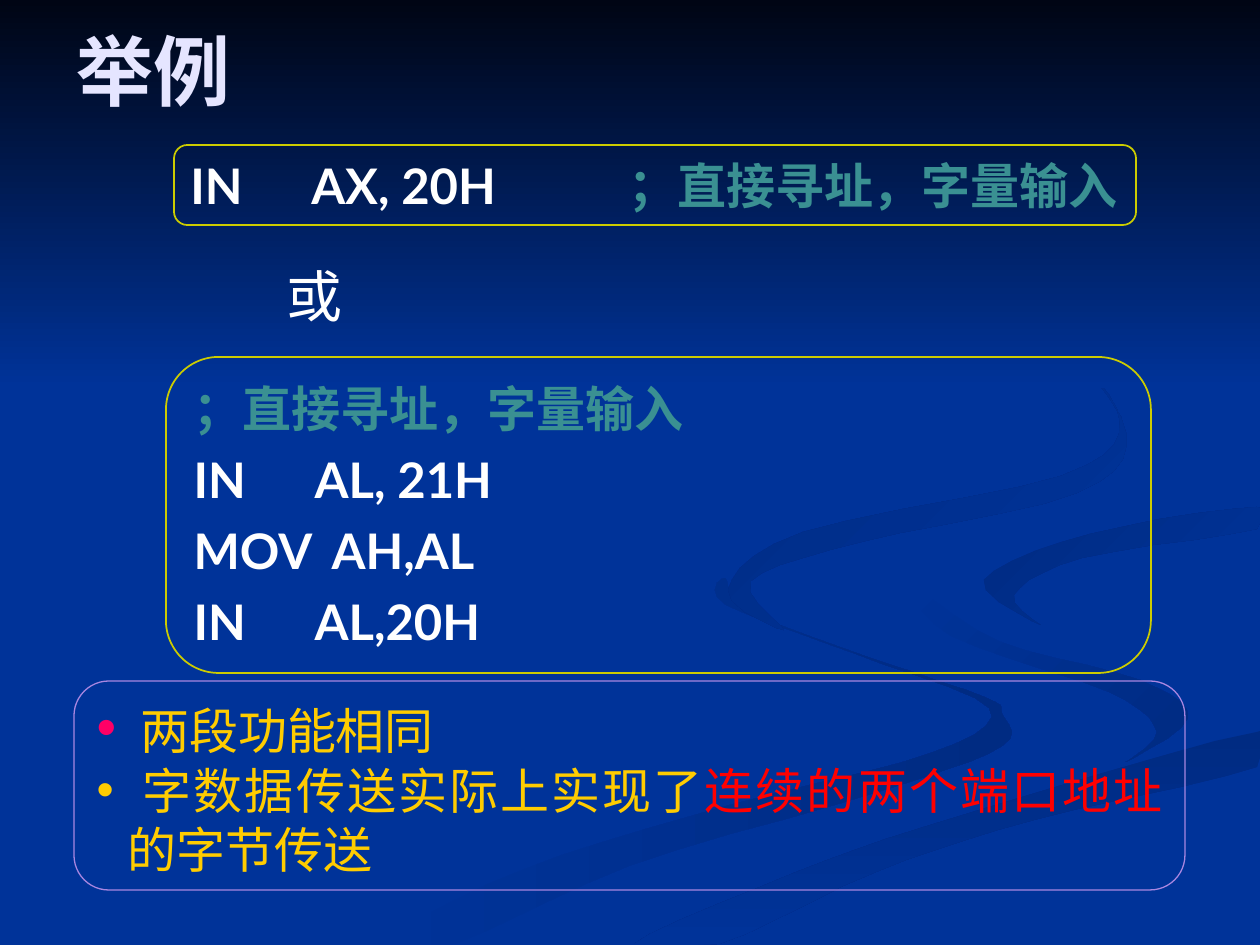
from dataclasses import dataclass

from lxml import etree
from pptx import Presentation
from pptx import util as u
from pptx.dml.color import RGBColor
from pptx.enum import shapes, text
from pptx.oxml.ns import qn

PX = 914400 / 126
WIDTH, HEIGHT = 1260, 945


@dataclass(frozen=True)
class Theme:
    background: str = "003399"
    night: str = "000514"
    shadow: str = "002B82"
    title: str = "E5E5FF"
    code: str = "FFFFFF"
    comment: str = "3A9092"
    code_frame: str = "CCCC00"
    note: str = "FFCC00"
    key: str = "FF0000"
    note_frame: str = "A886E0"
    first_bullet: str = "FF0066"
    title_size: int = 44
    large_size: int = 32
    body_size: int = 28
    body_font: str = "Lato"
    title_font: str = "Arial"
    word_font: str = "Times New Roman"


T = Theme()
Point = tuple[int, int]


@dataclass(frozen=True)
class Box:
    left: int
    top: int
    width: int
    height: int


@dataclass(frozen=True)
class Run:
    words: str
    color: str


@dataclass(frozen=True)
class Line:
    runs: tuple[Run, ...]
    tabs: tuple[int, ...] = ()
    bullet: str = ""
    lead_size: int = 0


@dataclass(frozen=True)
class Swoosh:
    start: str
    end: str
    angle: int  # clockwise from left to right
    knots: tuple[Point, ...]


def emu(px: float) -> int:
    return round(px * PX)


def place(box: Box) -> list[int]:
    return [emu(v) for v in (box.left, box.top, box.width, box.height)]


def rgb(color: str) -> RGBColor:
    return RGBColor.from_string(color)


def shade(shape, start: str, end: str, angle: int) -> None:
    shape.shadow.inherit = False
    shape.line.fill.background()
    shape.fill.gradient()
    shape.fill.gradient_angle = (360 - angle) % 360
    for stop, color in zip(shape.fill.gradient_stops, (start, end)):
        stop.color.rgb = rgb(color)


def smooth(knots: tuple[Point, ...], steps: int = 5) -> list[Point]:
    """Closed Catmull-Rom curve through the knots, kept on the slide."""
    count, curve = len(knots), []
    for i in range(count):
        corners = [knots[(i + k) % count] for k in (-1, 0, 1, 2)]
        for t in (step / steps for step in range(steps)):
            x, y = (b + t * (c - a + t * (2 * a - 5 * b + 4 * c - d
                                          + t * (3 * b - a - 3 * c + d))) / 2
                    for a, b, c, d in zip(*corners))
            curve.append((min(round(x), WIDTH), min(round(y), HEIGHT)))
    return curve


def draw_swoosh(slide, swoosh: Swoosh) -> None:
    first, *rest = smooth(swoosh.knots)
    builder = slide.shapes.build_freeform(*first, scale=PX)
    builder.add_line_segments(rest, close=True)
    shade(builder.convert_to_shape(), swoosh.start, swoosh.end, swoosh.angle)


def draw_frame(slide, kind, box: Box, color: str, weight: float):
    frame = slide.shapes.add_shape(kind, *place(box))
    frame.shadow.inherit = False
    frame.fill.background()
    frame.line.color.rgb = rgb(color)
    frame.line.width = u.Pt(weight)
    frame.text_frame.word_wrap = True
    return frame.text_frame


def set_tabs(paragraph, stops: tuple[int, ...]) -> None:
    tab_list = etree.SubElement(paragraph._p.get_or_add_pPr(), qn("a:tabLst"))
    for stop in stops:
        etree.SubElement(tab_list, qn("a:tab"), pos=str(emu(stop)), algn="l")


def set_bullet(paragraph, color: str, indent: int = 31) -> None:
    props = paragraph._p.get_or_add_pPr()
    props.set("marL", str(emu(indent)))
    props.set("indent", str(-emu(indent)))
    etree.SubElement(etree.SubElement(props, qn("a:buClr")), qn("a:srgbClr"), val=color)
    etree.SubElement(props, qn("a:buFont"), typeface="Arial")
    etree.SubElement(props, qn("a:buChar"), char="•")


def write_lines(frame, lines: list[Line], align, bold: bool, gap: int = 0) -> None:
    for i, line in enumerate(lines):
        paragraph = frame.paragraphs[0] if i == 0 else frame.add_paragraph()
        paragraph.alignment = align
        if i and gap:
            paragraph.space_before = u.Pt(gap)
        if line.bullet:
            set_bullet(paragraph, line.bullet)
        if line.tabs:
            set_tabs(paragraph, line.tabs)
        paragraph.font.name = T.body_font
        paragraph.font.bold = bold
        for part in line.runs:
            run = paragraph.add_run()
            run.text = part.words
            run.font.size = u.Pt(T.body_size)
            run.font.color.rgb = rgb(part.color)
        if line.lead_size:
            lead = paragraph.runs[0].font
            lead.size, lead.name, lead.bold = u.Pt(line.lead_size), T.title_font, True


def write_label(slide, box: Box, words: str, size: int, font: str, color: str):
    frame = slide.shapes.add_textbox(*place(box)).text_frame
    paragraph = frame.paragraphs[0]
    paragraph.text = words
    paragraph.font.size = u.Pt(size)
    paragraph.font.name = font
    paragraph.font.color.rgb = rgb(color)
    return frame


# Background ribbons
SWOOSHES = [
    Swoosh(T.background, T.shadow, 0, (
        (984, 697), (859, 654), (748, 611), (725, 578), (726, 605), (856, 654), (989, 708),
        (931, 753), (730, 805), (525, 869), (378, 944), (455, 944), (629, 866), (881, 791),
        (1002, 746), (1002, 714))),
    Swoosh(T.background, T.shadow, 45, (
        (1188, 718), (1140, 680), (998, 641), (912, 585), (951, 636), (1109, 692),
        (1157, 732), (1126, 762))),
    Swoosh(T.shadow, T.background, 90, (
        (634, 944), (794, 873), (963, 815), (1257, 732), (1257, 767), (1034, 820),
        (876, 872), (719, 944))),
    Swoosh(T.shadow, T.background, 45, (
        (984, 580), (1041, 625), (1014, 595), (1082, 558), (1257, 529), (1257, 507),
        (1090, 534))),
    Swoosh(T.shadow, T.background, 45, (
        (960, 294), (1062, 347), (1126, 433), (1077, 493), (861, 542), (751, 581),
        (784, 630), (728, 590), (803, 532), (1061, 476), (1120, 422), (1066, 352))),
]

# Code listings and notes
COMMENT = Run("；直接寻址，字量输入", T.comment)
LISTINGS = [
    (Box(174, 145, 962, 80), [Line((Run("IN\tAX, 20H\t", T.code), COMMENT), (121, 438))]),
    (Box(166, 357, 985, 316), [
        Line((COMMENT,)),
        Line((Run("IN\tAL, 21H", T.code),), (121,)),
        Line((Run("MOV\tAH,AL", T.code),), (138,)),
        Line((Run("IN\tAL,20H", T.code),), (121,)),
    ]),
]
NOTES = [
    Line((Run(" ", T.first_bullet), Run("两段功能相同", T.note)),
         bullet=T.first_bullet, lead_size=T.large_size),
    Line((Run(" 字数据传送实际上实现了", T.note), Run("连续的两个端口地址", T.key),
          Run("的字节传送", T.note)), bullet=T.note),
]


def main() -> None:
    deck = Presentation()
    deck.slide_width, deck.slide_height = emu(WIDTH), emu(HEIGHT)
    slide = deck.slides.add_slide(deck.slide_layouts[6])
    # Backdrop
    slide.background.fill.solid()
    slide.background.fill.fore_color.rgb = rgb(T.background)
    for swoosh in SWOOSHES:
        draw_swoosh(slide, swoosh)
    sky = slide.shapes.add_shape(shapes.MSO_SHAPE.RECTANGLE, *place(Box(0, 0, WIDTH, 388)))
    shade(sky, T.night, T.background, 90)
    # Title
    title = write_label(slide, Box(64, 35, 1134, 69), "举例", T.title_size, T.title_font, T.title)
    title.word_wrap = True
    title.vertical_anchor = text.MSO_ANCHOR.MIDDLE
    title.paragraphs[0].font.bold = True
    # Listings
    for box, lines in LISTINGS:
        frame = draw_frame(slide, shapes.MSO_SHAPE.FLOWCHART_ALTERNATE_PROCESS, box,
                           T.code_frame, 1)
        frame.vertical_anchor = text.MSO_ANCHOR.TOP
        write_lines(frame, lines, text.PP_ALIGN.LEFT, bold=True, gap=7)
    # Notes
    notes = draw_frame(slide, shapes.MSO_SHAPE.ROUNDED_RECTANGLE, Box(74, 681, 1111, 209),
                       T.note_frame, 0.75)
    notes.vertical_anchor = text.MSO_ANCHOR.MIDDLE
    write_lines(notes, NOTES, text.PP_ALIGN.JUSTIFY, bold=False)
    # Word between the listings
    either = write_label(slide, Box(282, 255, 66, 81), "或", T.large_size, T.word_font, T.code)
    either.word_wrap = False
    either.margin_left = either.margin_right = emu(5)
    deck.save("out.pptx")


if __name__ == "__main__":
    main()
